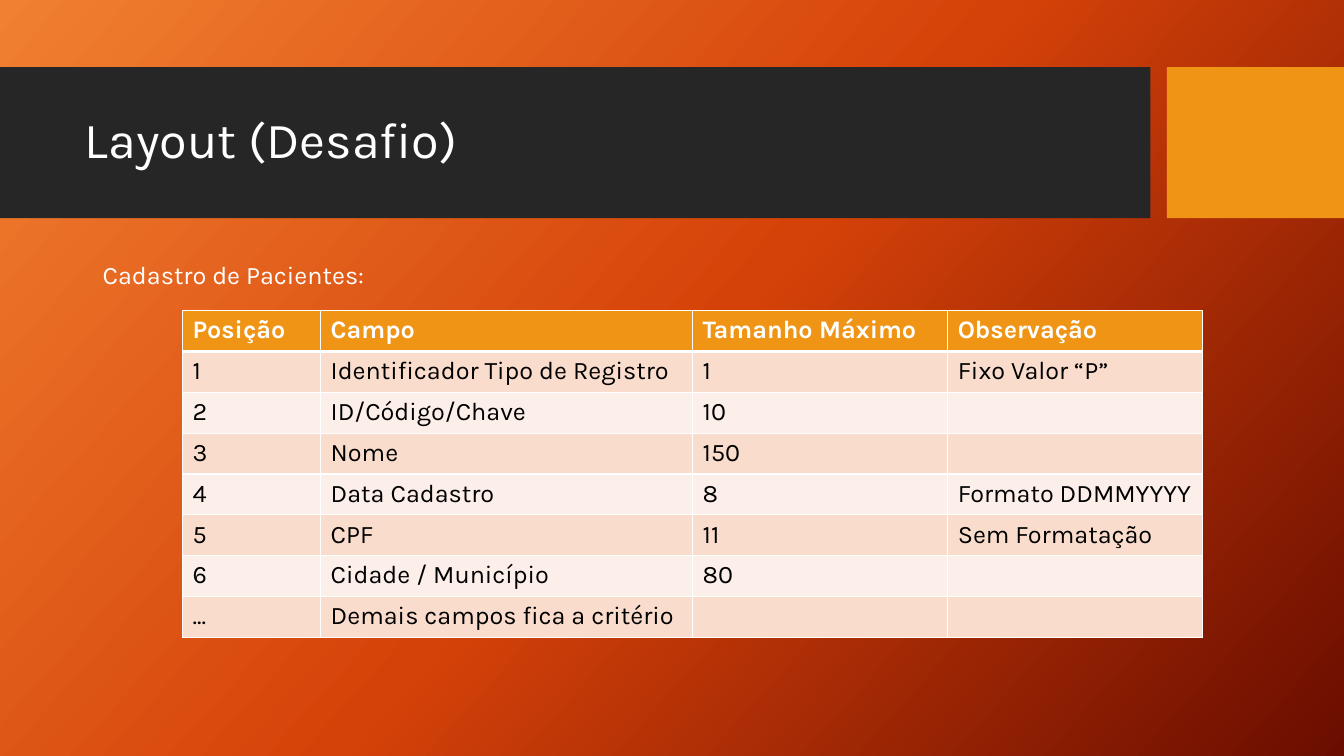
from pptx import Presentation
from pptx.dml.color import RGBColor
from pptx.enum.shapes import MSO_SHAPE
from pptx.enum.text import MSO_ANCHOR
from pptx.oxml import parse_xml
from pptx.oxml.ns import nsdecls, qn
from pptx.util import Inches, Pt

WHITE, BLACK, DARK, AMBER = "FFFFFF", "000000", "262626", "F09415"
BANDS = ("F9DCCC", "FCEEE8")
GRADIENT = ((0, "F18031"), (50, "D54209"), (100, "6A0D00"))

FIELDS = (
    ("Posição", "Campo", "Tamanho Máximo", "Observação"),
    ("1", "Identificador Tipo de Registro", "1", "Fixo Valor “P”"),
    ("2", "ID/Código/Chave", "10", ""),
    ("3", "Nome", "150", ""),
    ("4", "Data Cadastro", "8", "Formato DDMMYYYY"),
    ("5", "CPF", "11", "Sem Formatação"),
    ("6", "Cidade / Município", "80", ""),
    ("...", "Demais campos fica a critério", "", ""),
)


def rgb(color):
    return RGBColor.from_string(color)


def write(tf, text, size=18, color=WHITE, bold=False, spacing=None):
    p = tf.paragraphs[0]
    p.line_spacing = spacing
    r = p.add_run()
    r.text = text
    r.font.name = "Karla"
    r.font.size = Pt(size)
    r.font.bold = bold
    r.font.color.rgb = rgb(color)


class Deck:
    """Holds the style and the current slide; lengths are percent of the slide."""

    def __init__(self):
        self.prs = Presentation()
        self.prs.slide_width, self.prs.slide_height = Inches(13.33), Inches(7.5)
        self.s = self.prs.slides.add_slide(self.prs.slide_layouts[6])

    def x(self, share):
        return round(self.prs.slide_width * share / 100)

    def y(self, share):
        return round(self.prs.slide_height * share / 100)

    def box(self, left, top, width, height):
        return self.x(left), self.y(top), self.x(width), self.y(height)

    def background(self, stops, angle):
        self.s.background.fill.gradient()
        old = self.s.element.find(".//" + qn("a:gradFill"))
        gs = "".join(f'<a:gs pos="{pos * 1000}"><a:srgbClr val="{color}"/></a:gs>'
                     for pos, color in stops)
        old.getparent().replace(old, parse_xml(
            f'<a:gradFill {nsdecls("a")} rotWithShape="1"><a:gsLst>{gs}</a:gsLst>'
            f'<a:lin ang="{angle * 60000}" scaled="0"/></a:gradFill>'))

    def rect(self, *place, fill):
        sp = self.s.shapes.add_shape(MSO_SHAPE.RECTANGLE, *self.box(*place))
        sp.shadow.inherit = False
        sp.fill.solid()
        sp.fill.fore_color.rgb = rgb(fill)
        sp.line.fill.background()

    def text(self, *place, text, anchor=MSO_ANCHOR.TOP, **fmt):
        tf = self.s.shapes.add_textbox(*self.box(*place)).text_frame
        tf.word_wrap = True
        tf.vertical_anchor = anchor
        write(tf, text, **fmt)

    def borders(self, cell, **widths):
        tcPr = cell._tc.get_or_add_tcPr()
        for side in "LRTB":
            tcPr.append(parse_xml(
                f'<a:ln{side} {nsdecls("a")} w="{Pt(widths.get(side, 1))}"><a:solidFill>'
                f'<a:srgbClr val="{WHITE}"/></a:solidFill></a:ln{side}>'))

    def table(self, left, top, cols, row_height, rows):
        place = self.box(left, top, sum(cols), row_height * len(rows))
        table = self.s.shapes.add_table(len(rows), len(cols), *place).table
        for col, width in zip(table.columns, cols):
            col.width = self.x(width)
        for i, values in enumerate(rows):
            table.rows[i].height = self.y(row_height)
            header = i == 0
            # Thick rule between the header and the first record
            rule = {0: {"B": 3}, 1: {"T": 3}}.get(i, {})
            for j, value in enumerate(values):
                cell = table.cell(i, j)
                self.borders(cell, **rule)
                cell.fill.solid()
                cell.fill.fore_color.rgb = rgb(AMBER if header else BANDS[(i - 1) % 2])
                if value:
                    write(cell.text_frame, value, bold=header,
                          color=WHITE if header else BLACK)


def main():
    deck = Deck()
    deck.background(GRADIENT, 42)

    # Title band
    deck.rect(0, 8.87, 85.6, 20, fill=DARK)
    deck.rect(86.83, 8.87, 13.17, 20, fill=AMBER)
    deck.text(5.58, 10.93, 78.84, 15.73, text="Layout (Desafio)", size=36,
              spacing=0.9, anchor=MSO_ANCHOR.MIDDLE)

    # Record layout
    deck.table(13.58, 41.07, (10.28, 27.68, 18.98, 18.98), 5.41, FIELDS)
    deck.text(6.9, 33.6, 23, 5.33, text="Cadastro de Pacientes:")

    deck.prs.save("out.pptx")


if __name__ == "__main__":
    main()
